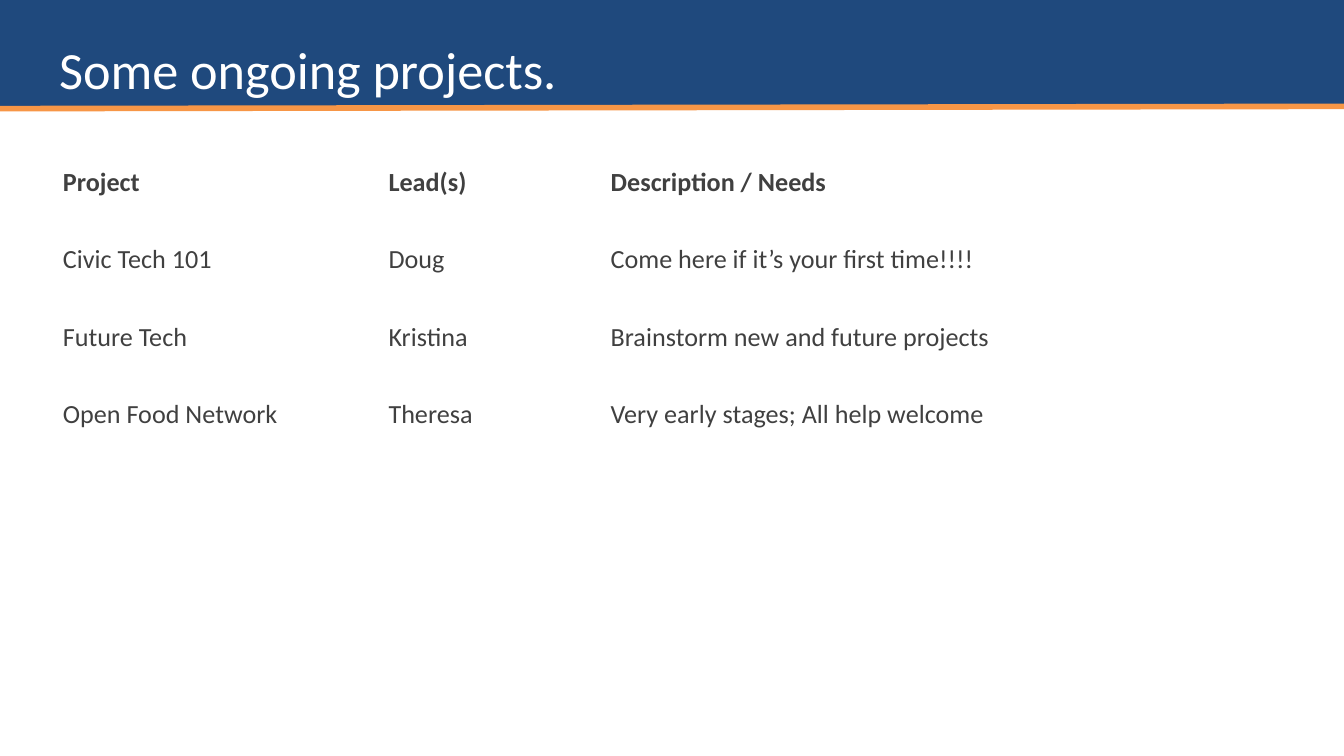
from pptx import Presentation
from pptx.dml.color import RGBColor
from pptx.enum.shapes import MSO_CONNECTOR, MSO_SHAPE
from pptx.enum.text import MSO_ANCHOR, MSO_AUTO_SIZE, PP_ALIGN
from pptx.oxml.ns import qn
from pptx.util import Pt
from lxml import etree

RECTANGLE = MSO_SHAPE.RECTANGLE
STRAIGHT = MSO_CONNECTOR.STRAIGHT
TOP = MSO_ANCHOR.TOP
LEFT = PP_ALIGN.LEFT
NO_AUTOFIT = MSO_AUTO_SIZE.NONE

COLORS = {"band": "1F497D", "accent": "F79646", "text": "404040", "title": "FFFFFF"}
FONT = "Calibri"
SLIDE_W, SLIDE_H = 720, 405
MARGIN, CONTENT_W = 24.5, 671

PROJECTS = [
    ("Project", "Lead(s)", "Description / Needs"),
    ("Civic Tech 101", "Doug", "Come here if it’s your first time!!!!"),
    ("Future Tech", "Kristina", "Brainstorm new and future projects"),
    ("Open Food Network", "Theresa", "Very early stages; All help welcome"),
]
COL_WIDTHS = (174.5, 119, 377.5)
ROW_COUNT, ROW_HEIGHT = 7, 41.55


class SlideBuilder:
    def __init__(self, slide):
        self.slide = slide

    def color(self, name):
        return RGBColor.from_string(COLORS[name])

    def style(self, p, size, color, bold=False):
        p.alignment = LEFT
        for r in p.runs:
            r.font.name = FONT
            r.font.size = Pt(size)
            r.font.bold = bold
            r.font.color.rgb = self.color(color)

    def band(self, x, y, w, h, color):
        sp = self.slide.shapes.add_shape(RECTANGLE, Pt(x), Pt(y), Pt(w), Pt(h))
        sp.shadow.inherit = False
        sp.fill.solid()
        sp.fill.fore_color.rgb = self.color(color)
        sp.line.fill.background()

    def rule(self, x1, y1, x2, y2, color, width):
        line = self.slide.shapes.add_connector(STRAIGHT, Pt(x1), Pt(y1), Pt(x2), Pt(y2))
        line.line.color.rgb = self.color(color)
        line.line.width = Pt(width)
        etree.SubElement(line.element.spPr, qn("a:effectLst"))

    def title(self, text, x, y, w, h):
        sp = self.slide.shapes.title
        sp.left, sp.top, sp.width, sp.height = Pt(x), Pt(y), Pt(w), Pt(h)
        tf = sp.text_frame
        tf.text = text
        tf.word_wrap = True
        tf.auto_size = NO_AUTOFIT
        tf.vertical_anchor = TOP
        tf.margin_left = tf.margin_right = Pt(7.2)
        tf.margin_top, tf.margin_bottom = Pt(8.5), Pt(0)
        self.style(tf.paragraphs[0], 28, "title")
        # Bring the title in front of the band
        sp.element.getparent().append(sp.element)

    def table(self, rows, x, y, col_widths, row_count, row_height):
        frame = self.slide.shapes.add_table(
            row_count, len(col_widths), Pt(x), Pt(y),
            Pt(sum(col_widths)), Pt(row_count * row_height))
        table = frame.table
        table.first_row = table.horz_banding = False
        for column, width in zip(table.columns, col_widths):
            column.width = Pt(width)
        for row in table.rows:
            row.height = Pt(row_height)
        for cell in table.iter_cells():
            cell.fill.background()
            cell.margin_left = cell.margin_right = Pt(9.2)
            cell.margin_top = cell.margin_bottom = Pt(9.2)
        for i, values in enumerate(rows):
            for cell, value in zip(table.rows[i].cells, values):
                cell.text_frame.text = value
                self.style(cell.text_frame.paragraphs[0], 14, "text", bold=i == 0)


def main():
    prs = Presentation()
    prs.slide_width, prs.slide_height = Pt(SLIDE_W), Pt(SLIDE_H)
    title_only = prs.slide_layouts[5]
    builder = SlideBuilder(prs.slides.add_slide(title_only))

    # Header
    builder.band(0, 0, SLIDE_W, 57, "band")
    builder.rule(-1.5, 58.2, SLIDE_W, 57, "accent", 3)

    # Project list
    builder.table(PROJECTS, MARGIN, 80, COL_WIDTHS, ROW_COUNT, ROW_HEIGHT)

    # Title
    builder.title("Some ongoing projects.", MARGIN, 11.5, CONTENT_W, 45.5)

    prs.save("out.pptx")


if __name__ == "__main__":
    main()
